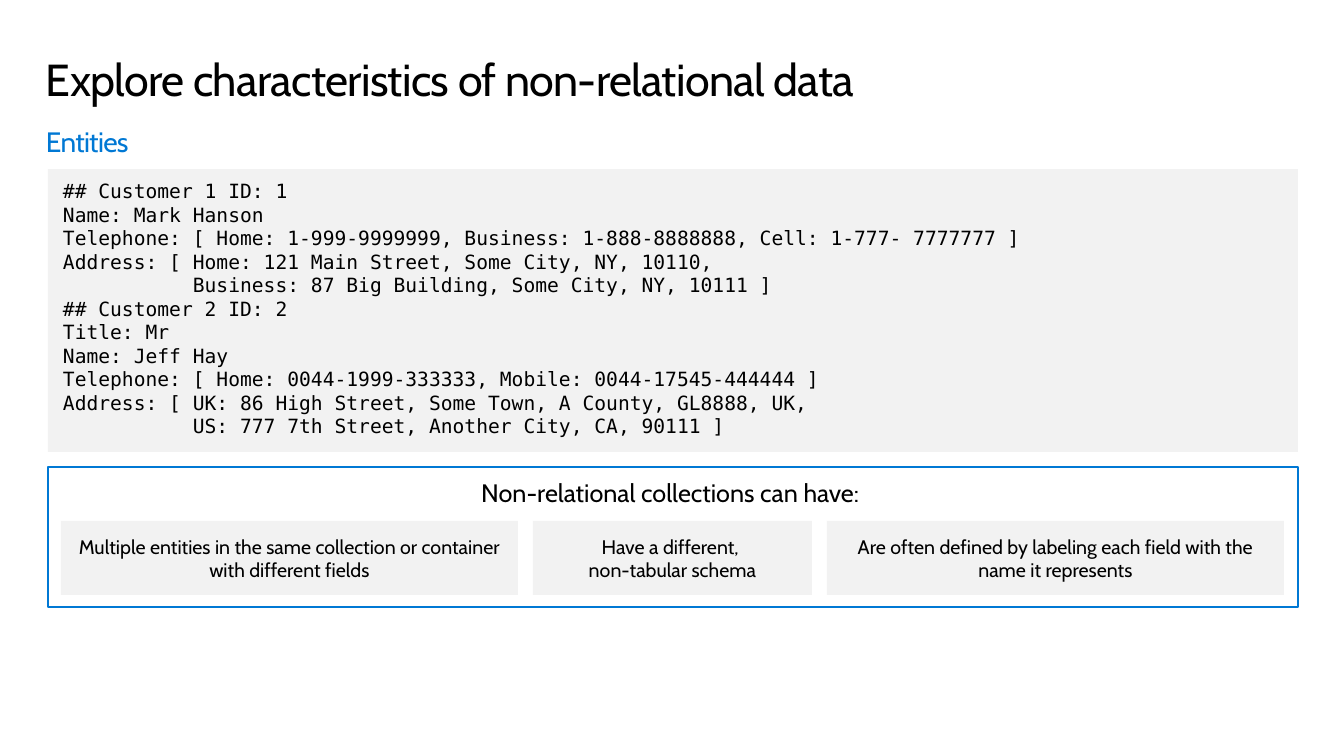
import pptx
import pptx.util
import pptx.dml.color
import pptx.enum.shapes
import pptx.enum.text

TITLE = "Explore characteristics of non-relational data"
SUBTITLE = "Entities"
ENTITIES = [
    "## Customer 1 ID: 1",
    "Name: Mark Hanson",
    "Telephone: [ Home: 1-999-9999999, Business: 1-888-8888888, Cell: 1-777- 7777777 ]",
    "Address: [ Home: 121 Main Street, Some City, NY, 10110,",
    "           Business: 87 Big Building, Some City, NY, 10111 ]",
    "## Customer 2 ID: 2",
    "Title: Mr",
    "Name: Jeff Hay",
    "Telephone: [ Home: 0044-1999-333333, Mobile: 0044-17545-444444 ]",
    "Address: [ UK: 86 High Street, Some Town, A County, GL8888, UK,",
    "           US: 777 7th Street, Another City, CA, 90111 ]",
]
COLLECTIONS = "Non-relational collections can have: "
TRAITS = [
    (457, ["Multiple entities in the same collection or container with different fields"]),
    (279, ["Have a different, ", "non-tabular schema"]),
    (457, ["Are often defined by labeling each field with the name it represents"]),
]

THEME = {
    "font": "Cabin", "code_font": "DejaVu Sans Mono",
    "ink": "000000", "accent": "0078D4", "panel": "F2F2F2",
    "title": 32, "subtitle": 20, "heading": 18, "body": 14,
    "border": 1.5, "tracking": -50,
}
SLIDE_W, SLIDE_H = 1344, 756
CONTENT_W = 1250
TRAIT_LEFT, TRAIT_TOP, TRAIT_H, TRAIT_GAP = 61, 521, 74, 15
PANEL_INSETS = (15, 10, 15, 10)
CENTER = pptx.enum.text.PP_ALIGN.CENTER
TOP = pptx.enum.text.MSO_ANCHOR.TOP
MIDDLE = pptx.enum.text.MSO_ANCHOR.MIDDLE


def px(length):
    return pptx.util.Emu(round(length * 914400 / 100.8))


def rgb(name):
    return pptx.dml.color.RGBColor.from_string(THEME[name])


def add_panel(slide, box, fill=None, border=None):
    panel = slide.shapes.add_shape(
        pptx.enum.shapes.MSO_SHAPE.RECTANGLE, *map(px, box))
    panel.shadow.inherit = False
    if fill:
        panel.fill.solid()
        panel.fill.fore_color.rgb = rgb(fill)
    else:
        panel.fill.background()
    if border:
        panel.line.color.rgb = rgb(border)
        panel.line.width = pptx.util.Pt(THEME["border"])
    else:
        panel.line.fill.background()
    return panel


def write(holder, paragraphs, size, insets=PANEL_INSETS, font="font", color="ink",
          align=pptx.enum.text.PP_ALIGN.LEFT, anchor=TOP, tracking=None,
          line_spacing=None, after=0):
    frame = holder.text_frame
    frame.word_wrap = True
    frame.vertical_anchor = anchor
    frame.margin_left, frame.margin_top, frame.margin_right, frame.margin_bottom = map(px, insets)
    for index, lines in enumerate(paragraphs):
        paragraph = frame.add_paragraph() if index else frame.paragraphs[0]
        paragraph.alignment = align
        paragraph.space_after = pptx.util.Pt(after)
        if line_spacing:
            paragraph.line_spacing = line_spacing
        for number, line in enumerate(lines):
            if number:
                paragraph.add_line_break()
            run = paragraph.add_run()
            run.text = line
            run.font.name = THEME[font]
            run.font.size = pptx.util.Pt(THEME[size])
            run.font.color.rgb = rgb(color)
            if tracking:
                run.font._element.set("spc", str(tracking))


def main():
    deck = pptx.Presentation()
    deck.slide_width, deck.slide_height = px(SLIDE_W), px(SLIDE_H)
    slide = deck.slides.add_slide(deck.slide_layouts[6])

    title = slide.shapes.add_textbox(*map(px, (46, 48, CONTENT_W, 71)))
    write(title, [[TITLE]], "title", (0, 10, 16, 10),
          tracking=THEME["tracking"], line_spacing=0.9)
    subtitle = slide.shapes.add_textbox(*map(px, (46, 119, CONTENT_W, 44)))
    write(subtitle, [[SUBTITLE]], "subtitle", (0, 5, 0, 5), color="accent",
          tracking=THEME["tracking"], after=4)

    entities = add_panel(slide, (48, 169, CONTENT_W, 283), fill="panel")
    write(entities, [[line] for line in ENTITIES], "body", font="code_font")

    collections = add_panel(slide, (48, 467, CONTENT_W, 140), border="accent")
    write(collections, [[COLLECTIONS]], "heading", align=CENTER, after=3)

    left = TRAIT_LEFT
    for width, lines in TRAITS:
        trait = add_panel(slide, (left, TRAIT_TOP, width, TRAIT_H), fill="panel")
        write(trait, [lines], "body", align=CENTER, anchor=MIDDLE)
        left += width + TRAIT_GAP

    deck.save("out.pptx")


if __name__ == "__main__":
    main()
